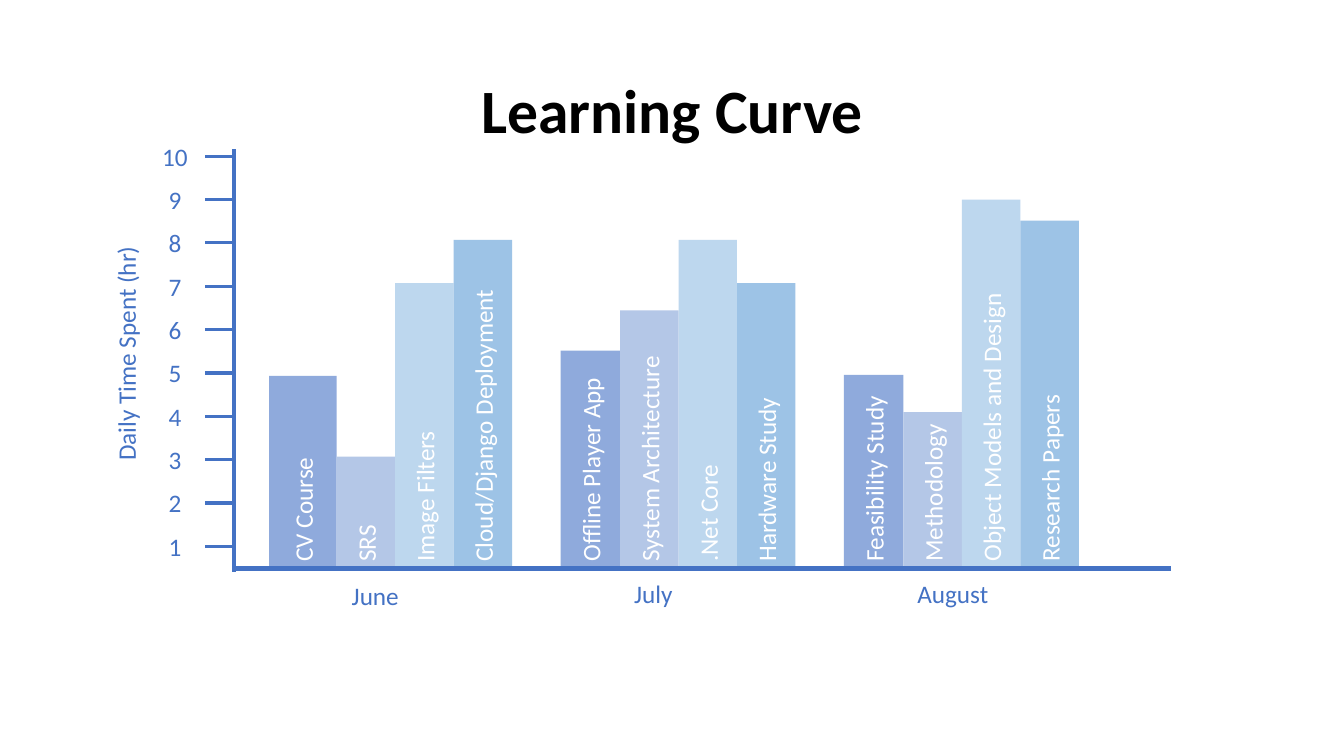
from dataclasses import dataclass

from lxml import etree
from pptx import Presentation
from pptx.dml.color import RGBColor
from pptx.enum import shapes, text
from pptx.oxml import ns
from pptx.util import Inches, Pt

FONT = "Calibri"
AXIS_BLUE, WHITE, BLACK = "4472C4", "FFFFFF", "000000"
BAR_COLOURS = ["8FAADC", "B4C7E7", "BDD7EE", "9DC3E6"]
BAR_WIDTH = 0.58
BASELINE = 5.62
BAR_LABEL_BOTTOM = 5.67
TEXT_HEIGHT = 0.4
AXIS_X, AXIS_Y = 2.32, 5.64
TICK_ONE, TICK_STEP = 5.42, 0.43


@dataclass
class Bar:
    label: str
    top: float
    label_length: float


@dataclass
class Month:
    name: str
    name_left: float
    name_top: float
    name_width: float
    left: float
    first_width: float
    bars: list[Bar]


MONTHS = [
    Month("June", 3.39, 5.71, 0.68, 2.67, 0.67, [
        Bar("CV Course", 3.73, 1.25),
        Bar("SRS", 4.53, 0.57),
        Bar("Image Filters", 2.81, 1.51),
        Bar("Cloud/Django Deployment", 2.38, 2.93),
    ]),
    Month("July", 6.19, 5.69, 0.59, 5.56, 0.59, [
        Bar("Offline Player App", 3.48, 2.05),
        Bar("System Architecture", 3.08, 2.32),
        Bar(".Net Core", 2.38, 1.17),
        Bar("Hardware Study", 2.81, 1.9),
    ]),
    Month("August", 9, 5.69, 0.91, 8.37, 0.59, [
        Bar("Feasibility Study", 3.72, 1.86),
        Bar("Methodology", 4.09, 1.58),
        Bar("Object Models and Design", 1.98, 2.89),
        Bar("Research Papers", 2.19, 1.87),
    ]),
]


def rgb(colour: str) -> RGBColor:
    return RGBColor.from_string(colour)


def add_text(s, words: str, left: float, top: float, width: float,
             colour: str = AXIS_BLUE, rotation: int = 0) -> None:
    box = s.shapes.add_textbox(Inches(left), Inches(top), Inches(width), Inches(TEXT_HEIGHT))
    box.rotation = rotation
    tf = box.text_frame
    tf.word_wrap = False
    tf.auto_size = text.MSO_AUTO_SIZE.SHAPE_TO_FIT_TEXT
    p = tf.paragraphs[0]
    p.text = words
    p.font.size = Pt(18)
    p.font.name = FONT
    p.font.color.rgb = rgb(colour)


def add_vertical_text(s, words: str, centre_x: float, bottom: float,
                      length: float, colour: str) -> None:
    """Place text that reads upwards from the given bottom edge."""
    top = bottom - length / 2 - TEXT_HEIGHT / 2
    add_text(s, words, centre_x - length / 2, top, length, colour, 270)


def add_line(s, x1: float, y1: float, x2: float, y2: float, weight: float) -> None:
    line = s.shapes.add_connector(shapes.MSO_CONNECTOR.STRAIGHT,
                                  Inches(x1), Inches(y1), Inches(x2), Inches(y2))
    line.line.color.rgb = rgb(AXIS_BLUE)
    line.line.width = Pt(weight)
    etree.SubElement(line._element.spPr, ns.qn("a:effectLst"))


def add_bar(s, bar: Bar, left: float, width: float, colour: str) -> None:
    sp = s.shapes.add_shape(shapes.MSO_SHAPE.RECTANGLE, Inches(left), Inches(bar.top),
                            Inches(width), Inches(BASELINE - bar.top))
    sp.shadow.inherit = False
    sp.fill.solid()
    sp.fill.fore_color.rgb = rgb(colour)
    sp.line.fill.background()
    add_vertical_text(s, bar.label, left + width / 2, BAR_LABEL_BOTTOM,
                      bar.label_length, WHITE)


def add_month(s, month: Month) -> None:
    left, width = month.left, month.first_width
    for bar, colour in zip(month.bars, BAR_COLOURS):
        add_bar(s, bar, left, width, colour)
        left, width = left + width, BAR_WIDTH
    add_text(s, month.name, month.name_left, month.name_top, month.name_width)


def add_axes(s) -> None:
    add_line(s, AXIS_X, 1.48, AXIS_X, 5.67, 3)
    add_line(s, 11.61, AXIS_Y, AXIS_X, AXIS_Y, 3)
    for hours in range(1, 11):
        y = TICK_ONE - (hours - 1) * TICK_STEP
        add_line(s, 2.3, y, 2.03, y, 2.25)
        width = 0.33 if hours < 10 else 0.46
        add_text(s, str(hours), 1.74 - width / 2, y - TEXT_HEIGHT / 2, width)
    add_vertical_text(s, "Daily Time Spent (hr)", 1.25, 4.67, 2.36, AXIS_BLUE)


def add_title(s) -> None:
    title = s.shapes.title
    title.left, title.top = Inches(0.92), Inches(0.4)
    title.width, title.height = Inches(11.5), Inches(1.45)
    tf = title.text_frame
    tf.vertical_anchor = text.MSO_ANCHOR.MIDDLE
    p = tf.paragraphs[0]
    p.text = "Learning Curve"
    p.alignment = text.PP_ALIGN.CENTER
    p.line_spacing = 0.9
    p.font.size = Pt(44)
    p.font.name = FONT
    p.font.bold = True
    p.font.color.rgb = rgb(BLACK)


def main() -> None:
    prs = Presentation()
    prs.slide_width, prs.slide_height = Inches(13.33), Inches(7.5)
    s = prs.slides.add_slide(prs.slide_layouts[5])

    # Title
    add_title(s)

    # Bars and month names
    for month in MONTHS:
        add_month(s, month)

    # Axes with hour scale
    add_axes(s)

    prs.save("out.pptx")


if __name__ == "__main__":
    main()
